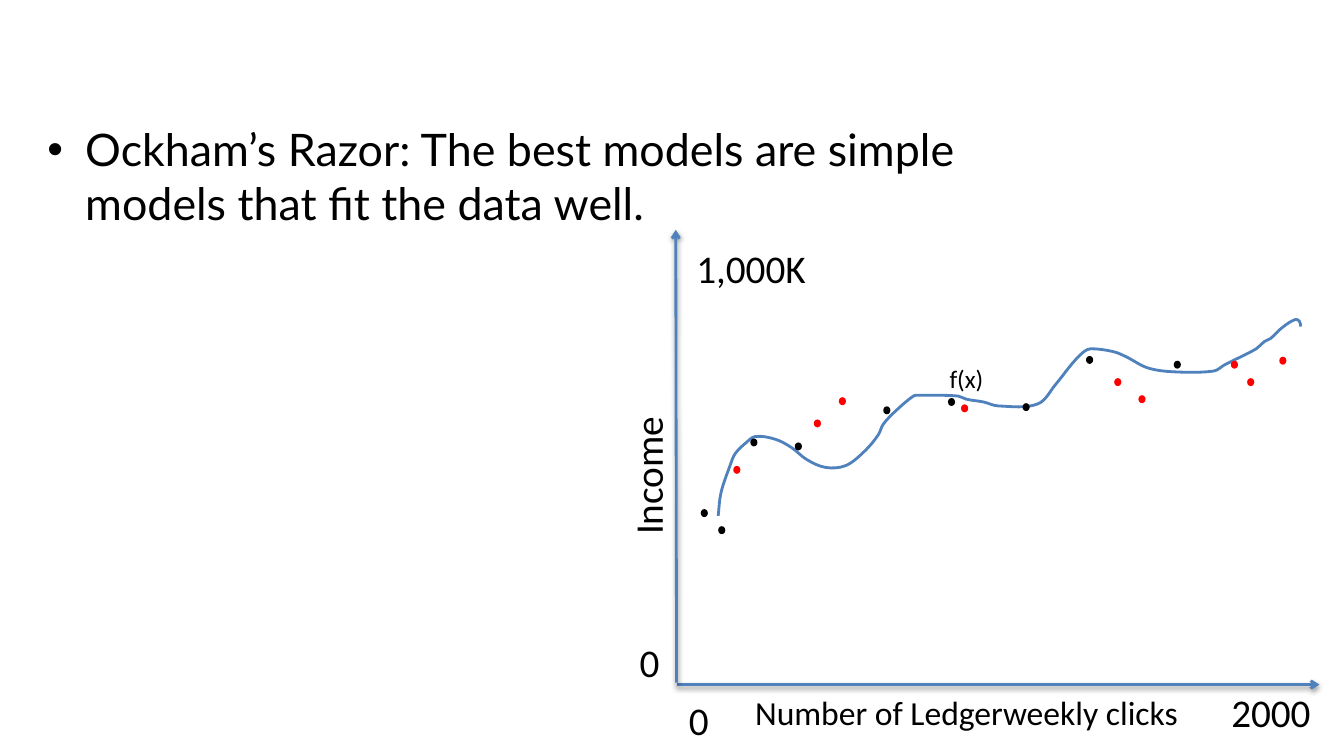
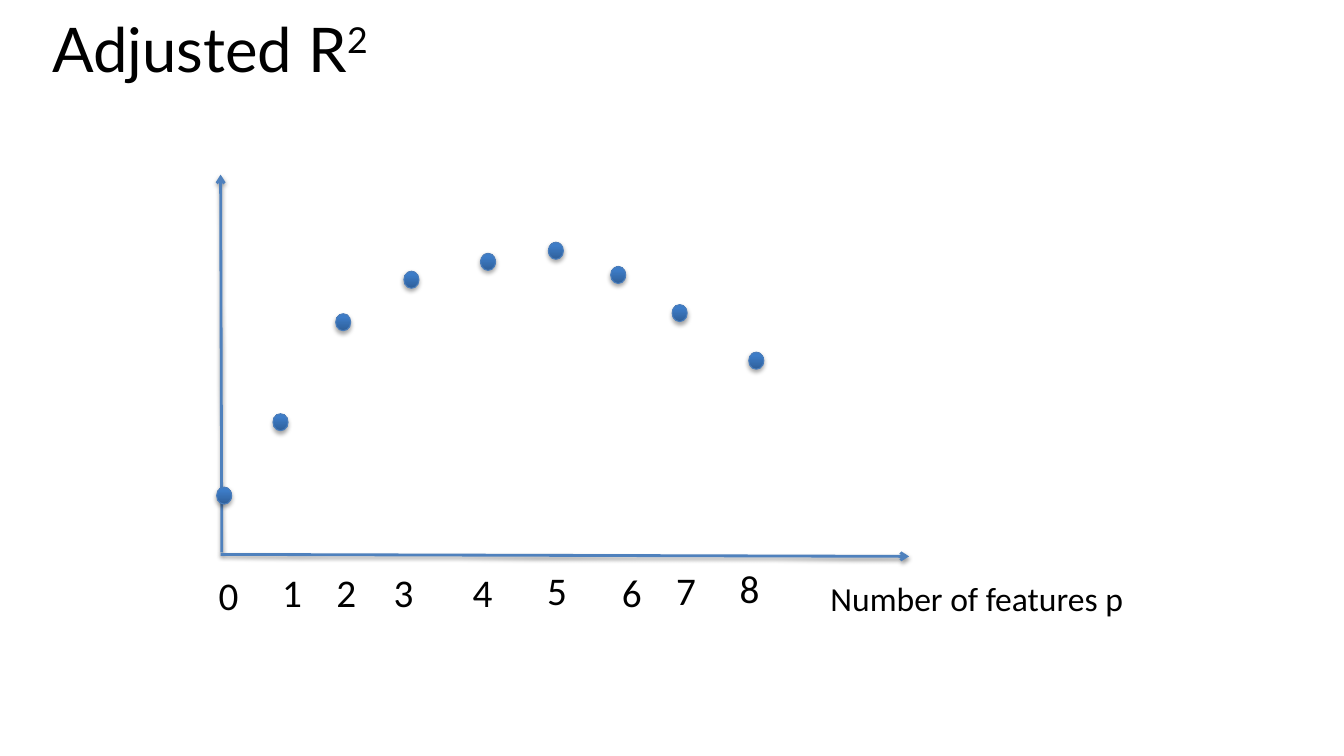
import math
import pptx
import pptx.dml.color
import pptx.enum.shapes
import pptx.enum.text
import pptx.oxml
import pptx.oxml.ns
import pptx.util

Cm = pptx.util.Cm
Pt = pptx.util.Pt
Shape = pptx.enum.shapes.MSO_SHAPE
Anchor = pptx.enum.text.MSO_ANCHOR
Align = pptx.enum.text.PP_ALIGN
Fit = pptx.enum.text.MSO_AUTO_SIZE

HUES = {"ink": "000000", "red": "FF0000", "axis": "4F81BD",
        "rim": "4B7EBC", "dark": "2F5F99", "light": "3D7CC7"}
HEAD = {"name": "Lato", "size": Pt(44)}
LIST = {"name": "Lato", "size": Pt(32)}
TOP = {"word_wrap": True, "vertical_anchor": Anchor.TOP}

# Plot boxes: left, top, width, height in cm
FIT = (17.03, 5.79, 16.22, 11.46)
SCORE = (5.56, 4.4, 17.35, 9.62)

# Places within the plot boxes, in cm
TRAIN = [(0.72, 7.14), (1.16, 7.57), (1.97, 5.36), (3.09, 5.46), (5.32, 4.55),
         (6.95, 4.34), (8.83, 4.47), (10.43, 3.28), (12.64, 3.4)]
TEST = [(1.54, 6.05), (3.57, 4.88), (4.2, 4.32), (7.28, 4.5), (11.14, 3.84),
        (11.75, 4.27), (14.08, 3.4), (14.49, 3.84), (15.3, 3.3)]
KNOTS = [(1.07, 7.21), (1.14, 6.63), (1.37, 5.94), (1.5, 5.64), (1.78, 5.36),
         (2.01, 5.21), (2.51, 5.28), (2.92, 5.49), (3.3, 5.79), (3.78, 5.99),
         (4.29, 5.94), (4.78, 5.56), (5.11, 5.16), (5.23, 4.9), (5.56, 4.55),
         (5.99, 4.19), (6.1, 4.17), (7.11, 4.19), (7.32, 4.27), (7.75, 4.34),
         (8.13, 4.44), (9.12, 4.39), (9.58, 3.89), (10.01, 3.35),
         (10.29, 3.07), (10.46, 3), (11.02, 3.07), (11.35, 3.2),
         (11.89, 3.48), (12.55, 3.58), (13.56, 3.56), (13.84, 3.4),
         (14.63, 3), (14.83, 2.82), (14.99, 2.74), (15.29, 2.46),
         (15.62, 2.26), (15.72, 2.31), (15.75, 2.44)]
RATED = [(0.09, 8.09), (1.51, 6.24), (3.09, 3.72), (4.81, 2.65), (6.74, 2.2),
         (8.45, 1.92), (10.02, 2.53), (11.57, 3.49), (13.5, 4.69)]
TICKS = [(-0.3, 9.86), (1.3, 9.8), (2.67, 9.8), (4.11, 9.8), (6.1, 9.8),
         (7.98, 9.75), (9.86, 9.8), (11.23, 9.75), (12.83, 9.7)]

# Text, left, top, width, size, turn
NOTES = [("0", 0.08, 11.63, 1.02, 28, 0),
         ("2000", 13.75, 11.43, 2.54, 28, 0),
         ("Number of Ledgerweekly clicks", 1.75, 11.51, 14.27, 24, 0),
         (" Income", -2.6, 5.56, 3.76, 28, 270),
         ("0", -1.16, 10.16, 1.02, 28, 0),
         ("1,000K", 0.27, 0.25, 3.3, 28, 0),
         ("f(x)", 6.65, 3.25, 1.37, 18, 0)]


def hue(key):
    return pptx.dml.color.RGBColor.from_string(HUES[key])


def apply(item, form):
    for name, value in form.items():
        setattr(item, name, value)


def ink(run, form):
    apply(run.font, form)
    run.font.color.rgb = hue("ink")


def place(item, left, top, width, height):
    apply(item, {"left": Cm(left), "top": Cm(top),
                 "width": Cm(width), "height": Cm(height)})


def stroke(item, key, width):
    item.line.color.rgb = hue(key)
    item.line.width = Pt(width)


def node(tag, attrs="", inner=""):
    names = pptx.oxml.ns.nsdecls("a")
    return pptx.oxml.parse_xml(f"<a:{tag} {names} {attrs}>{inner}</a:{tag}>")


def shade(item, dist, alpha):
    """Give a shape or line a soft shadow below it."""
    props = item._element.spPr
    for old in props.findall(pptx.oxml.ns.qn("a:effectLst")):
        props.remove(old)
    props.append(node("effectLst", inner=(
        f'<a:outerShdw blurRad="40000" dist="{dist}" dir="5400000" '
        f'rotWithShape="0"><a:srgbClr val="{HUES["ink"]}">'
        f'<a:alpha val="{alpha}"/></a:srgbClr></a:outerShdw>')))


def axis(shapes, box, start, end):
    """Draw an arrow between two spots of the box."""
    spots = [Cm(box[i] + spot[i]) for spot in (start, end) for i in (0, 1)]
    line = shapes.add_connector(
        pptx.enum.shapes.MSO_CONNECTOR.STRAIGHT, *spots)
    stroke(line, "axis", 2)
    line.line._get_or_add_ln().append(node("tailEnd", 'type="arrow"'))
    shade(line, 20000, 38000)


def label(shapes, box, text, x, y, width, size, turn=0):
    note = shapes.add_textbox(Cm(box[0] + x), Cm(box[1] + y), Cm(width),
                              Cm(0.25 + 0.0425 * size))
    note.rotation = turn
    apply(note.text_frame, {"word_wrap": size == 24,
                            "auto_size": Fit.SHAPE_TO_FIT_TEXT})
    run = note.text_frame.paragraphs[0].add_run()
    run.text = text
    ink(run, {"name": "Calibri", "size": Pt(size)})


def dot(shapes, box, spot, width, height):
    """Add an oval centred on a spot of the box."""
    oval = shapes.add_shape(
        Shape.OVAL, Cm(box[0] + spot[0] - width / 2),
        Cm(box[1] + spot[1] - height / 2), Cm(width), Cm(height))
    oval.shadow.inherit = False
    return oval


def flat(shapes, box, spots, key):
    for spot in spots:
        oval = dot(shapes, box, spot, 0.18, 0.2)
        oval.fill.solid()
        oval.fill.fore_color.rgb = hue(key)
        oval.line.fill.background()


def ball(shapes, box, spot):
    oval = dot(shapes, box, spot, 0.38, 0.43)
    oval.fill.gradient()
    oval.fill.gradient_angle = 90
    for stop, key, at in zip(oval.fill.gradient_stops,
                             ("dark", "light"), (0, 0.8)):
        stop.color.rgb = hue(key)
        stop.position = at
    stroke(oval, "rim", 0.75)
    shade(oval, 23000, 35000)


def bend(line):
    """Turn the straight parts of a freeform into smooth curves."""
    qn = pptx.oxml.ns.qn
    spots = [(int(p.get("x")), int(p.get("y")))
             for p in line._element.iter(qn("a:pt"))]
    ends = [spots[0], *spots, spots[-1]]
    parts = list(line._element.iter(qn("a:lnTo")))
    for part, (a, b, c, d) in zip(parts, zip(ends, ends[1:], ends[2:],
                                             ends[3:])):
        reach = math.dist(b, c) / 3
        out, back = reach / math.dist(a, c), reach / math.dist(b, d)
        curve = [[b[i] + (c[i] - a[i]) * out for i in (0, 1)],
                 [c[i] - (d[i] - b[i]) * back for i in (0, 1)], c]
        part.getparent().replace(part, node("cubicBezTo", inner="".join(
            f'<a:pt x="{round(x)}" y="{round(y)}"/>' for x, y in curve)))


def trend(shapes, box, knots):
    spots = [(Cm(box[0] + x), Cm(box[1] + y)) for x, y in knots]
    pen = shapes.build_freeform(*spots[0])
    pen.add_line_segments(spots[1:], close=False)
    line = pen.convert_to_shape()
    line.shadow.inherit = False
    line.fill.background()
    stroke(line, "axis", 2)
    bend(line)


def razor(deck):
    slide = deck.slides.add_slide(deck.slide_layouts[1])
    shapes = slide.shapes
    title = shapes.title._element
    title.getparent().remove(title)

    # Bullet
    body = slide.placeholders[1]
    place(body, 0.94, 2.95, 26.21, 14.7)
    apply(body.text_frame, TOP)
    para = body.text_frame.paragraphs[0]
    para.space_before = Pt(14)
    run = para.add_run()
    run.text = ("Ockham’s Razor: The best models are simple "
                "models that fit the data well.")
    ink(run, LIST)

    # Plot
    wide, high = FIT[2:]
    axis(shapes, FIT, (0.02, high), (wide, high))
    axis(shapes, FIT, (0.02, high - 0.05), (0, 0))
    for note in NOTES:
        label(shapes, FIT, *note)
    trend(shapes, FIT, KNOTS)
    flat(shapes, FIT, TRAIN, "ink")
    flat(shapes, FIT, TEST, "red")


def adjust(deck):
    slide = deck.slides.add_slide(deck.slide_layouts[5])
    shapes = slide.shapes

    # Title
    title = shapes.title
    place(title, 1.06, 0.5, 32, 2.95)
    apply(title.text_frame, TOP)
    para = title.text_frame.paragraphs[0]
    apply(para, {"alignment": Align.LEFT, "line_spacing": 0.8})
    for text, lift in (("Adjusted R", 0), ("2", 30000)):
        run = para.add_run()
        run.text = text
        ink(run, HEAD)
        if lift:
            run._r.get_or_add_rPr().set("baseline", str(lift))

    # Plot
    wide, high = SCORE[2:]
    axis(shapes, SCORE, (0.03, high - 0.1), (0, 0))
    label(shapes, SCORE, "Number of features p", 15.12, 10.04, 8.86, 24)
    axis(shapes, SCORE, (0, high - 0.05), (wide, high))
    for count, (spot, (x, y)) in enumerate(zip(RATED, TICKS)):
        pair = shapes.add_group_shape().shapes
        label(pair, SCORE, str(count), x, y, 1.02, 28)
        ball(pair, SCORE, spot)


def main():
    deck = pptx.Presentation()
    apply(deck, {"slide_width": Cm(33.87), "slide_height": Cm(19.05)})
    razor(deck)
    adjust(deck)
    deck.save("out.pptx")


if __name__ == "__main__":
    main()
